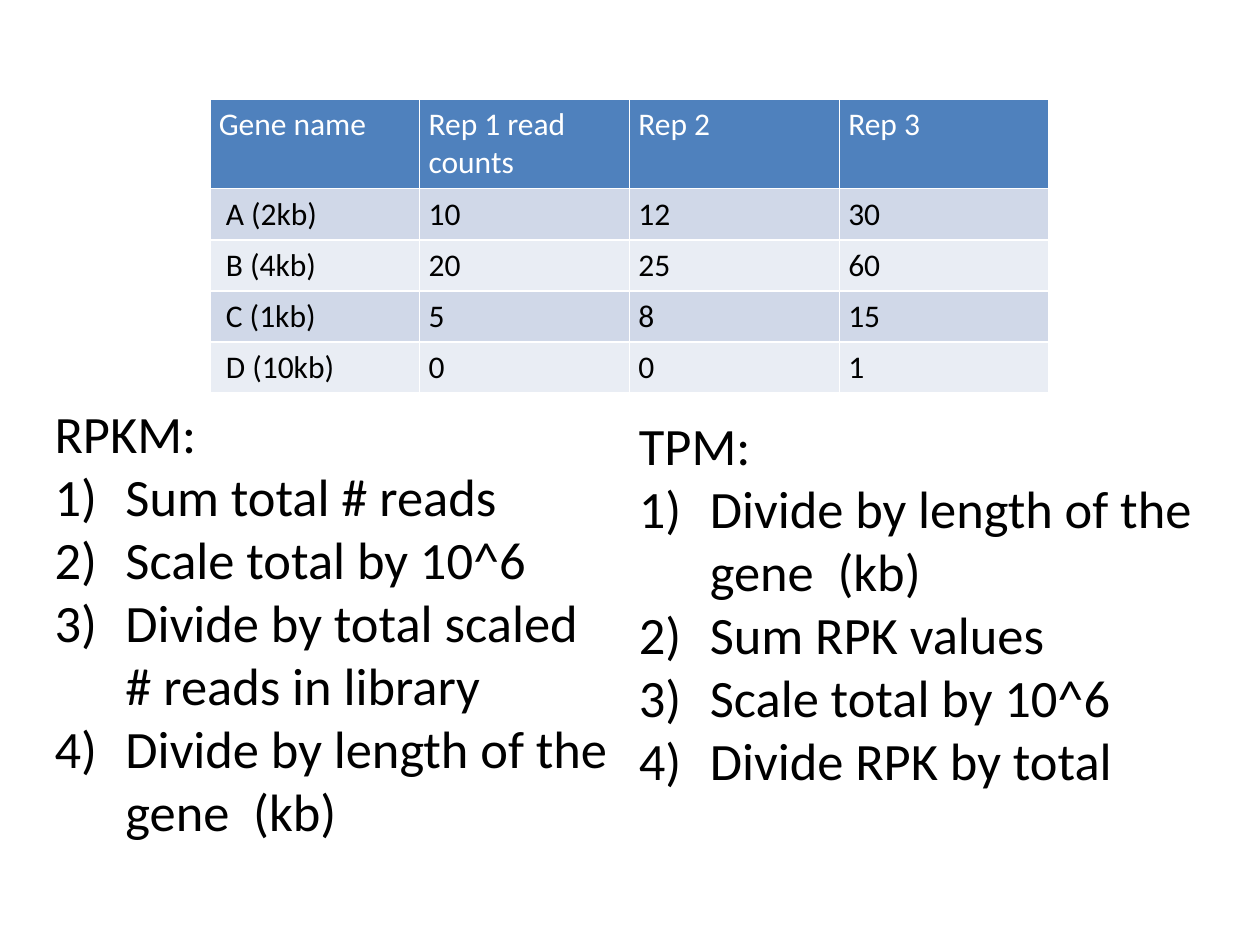
from lxml.etree import SubElement
from pptx import Presentation
from pptx.dml.color import RGBColor
from pptx.enum.text import MSO_AUTO_SIZE
from pptx.oxml.ns import qn
from pptx.util import Cm, Pt

READ_COUNTS = [
    ("Gene name", "Rep 1 read counts", "Rep 2", "Rep 3"),
    (" A (2kb)", "10", "12", "30"),
    (" B (4kb)", "20", "25", "60"),
    (" C (1kb)", "5", "8", "15"),
    (" D (10kb)", "0", "0", "1"),
]
METHODS = [
    {
        "title": "RPKM:",
        "place": (0.85, 7.95, 11.8, 9.24),
        "steps": [
            "Sum total # reads",
            "Scale total by 10^6",
            "Divide by total scaled # reads in library",
            "Divide by length of the gene  (kb)",
        ],
    },
    {
        "title": "TPM:",
        "place": (12.63, 8.2, 12.77, 7.95),
        "steps": [
            "Divide by length of the gene  (kb)",
            "Sum RPK values",
            "Scale total by 10^6",
            "Divide RPK by total",
        ],
    },
]

FONT = "Calibri"
WHITE = RGBColor(0xFF, 0xFF, 0xFF)
BLACK = RGBColor(0x00, 0x00, 0x00)
HEADER_BLUE = RGBColor(0x4F, 0x81, 0xBD)
BANDS = (RGBColor(0xE9, 0xED, 0xF4), RGBColor(0xD0, 0xD8, 0xE8))
COLUMN_WIDTH = 4.23
ROW_HEIGHT = 1.03
STEP_INDENT = Cm(1.43)


def format_paragraph(paragraph, size, color):
    for span in paragraph.runs:
        span.font.name = FONT
        span.font.size = Pt(size)
        span.font.bold = False
        span.font.color.rgb = color


def number_paragraph(paragraph):
    properties = paragraph._p.get_or_add_pPr()
    properties.set("marL", str(STEP_INDENT))
    properties.set("indent", str(-STEP_INDENT))
    SubElement(properties, qn("a:buFont"), typeface="+mj-lt")
    SubElement(properties, qn("a:buAutoNum"), type="arabicParenR")


def add_read_counts(page):
    row_count, column_count = len(READ_COUNTS), len(READ_COUNTS[0])
    table = page.shapes.add_table(
        row_count, column_count, Cm(4.23), Cm(2),
        Cm(COLUMN_WIDTH * column_count), Cm(ROW_HEIGHT * row_count),
    ).table
    for row_index, values in enumerate(READ_COUNTS):
        is_header = row_index == 0
        for column_index, value in enumerate(values):
            cell = table.cell(row_index, column_index)
            cell.margin_left = cell.margin_right = Cm(0.18)
            cell.fill.solid()
            cell.fill.fore_color.rgb = HEADER_BLUE if is_header else BANDS[row_index % 2]
            cell.text_frame.text = value
            format_paragraph(cell.text_frame.paragraphs[0], 18, WHITE if is_header else BLACK)


def add_method(page, method):
    box = page.shapes.add_textbox(*map(Cm, method["place"]))
    frame = box.text_frame
    frame.word_wrap = True
    frame.auto_size = MSO_AUTO_SIZE.SHAPE_TO_FIT_TEXT
    frame.text = "\n".join([method["title"], *method["steps"]])
    for index, paragraph in enumerate(frame.paragraphs):
        format_paragraph(paragraph, 30, BLACK)
        if index > 0:
            number_paragraph(paragraph)


def main():
    deck = Presentation()
    deck.slide_width, deck.slide_height = Cm(25.4), Cm(19.05)
    page = deck.slides.add_slide(deck.slide_layouts[6])
    add_read_counts(page)
    for method in METHODS:
        add_method(page, method)
    deck.save("out.pptx")


if __name__ == "__main__":
    main()
